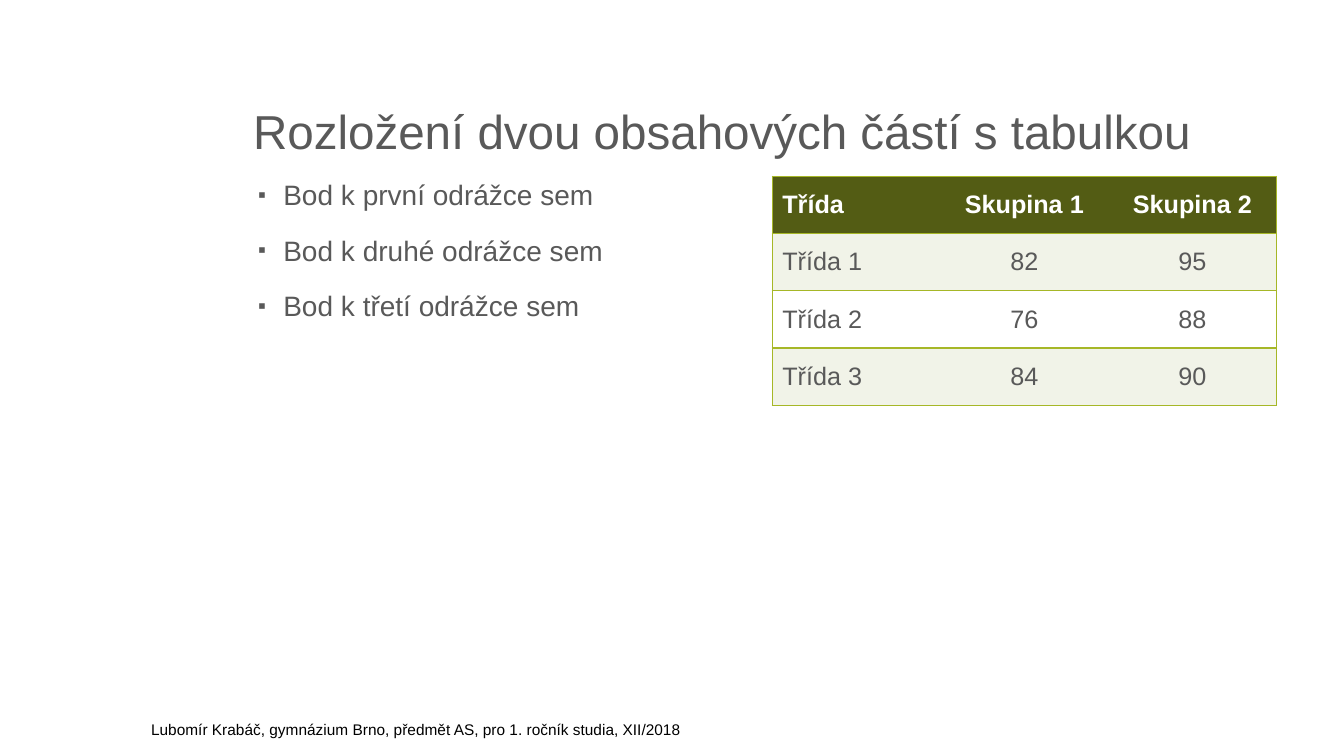
from lxml.etree import SubElement
from pptx import Presentation
from pptx.dml.color import RGBColor
from pptx.enum.text import MSO_ANCHOR as Anchor, MSO_AUTO_SIZE as AutoSize, PP_ALIGN as Align
from pptx.oxml.ns import qn
from pptx.util import Inches, Pt

GREY = RGBColor(0x59, 0x59, 0x59)
BLACK = RGBColor(0, 0, 0)
WHITE = RGBColor(0xFF, 0xFF, 0xFF)
OLIVE = RGBColor(0x53, 0x5C, 0x14)
PALE = RGBColor(0xF1, 0xF3, 0xE8)
LIME = RGBColor(0xA6, 0xB7, 0x27)

HEADING = "Rozložení dvou obsahových částí s tabulkou"
POINTS = ["Bod k první odrážce sem", "Bod k druhé odrážce sem", "Bod k třetí odrážce sem"]
RESULTS = [
    ("Třída", "Skupina 1", "Skupina 2"),
    ("Třída 1", "82", "95"),
    ("Třída 2", "76", "88"),
    ("Třída 3", "84", "90"),
]
CREDIT = "Lubomír Krabáč, gymnázium Brno, předmět AS, pro 1. ročník studia, XII/2018"


def place(part, box):
    part.left, part.top, part.width, part.height = (Inches(side) for side in box)


def add_text(paragraph, text, size, color, bold=False, align=Align.LEFT):
    paragraph.alignment = align
    run = paragraph.add_run()
    run.text = text
    run.font.name = "Arial"
    run.font.size = Pt(size)
    run.font.bold = bold
    run.font.color.rgb = color


def prepare_frame(frame, anchor):
    frame.word_wrap = True
    frame.auto_size = AutoSize.NONE
    frame.vertical_anchor = anchor


def fill_title(title, box):
    place(title, box)
    prepare_frame(title.text_frame, Anchor.BOTTOM)
    line = title.text_frame.paragraphs[0]
    line.line_spacing = 0.9
    add_text(line, HEADING, 34, GREY)


def fill_points(body, box):
    place(body, box)
    frame = body.text_frame
    prepare_frame(frame, Anchor.TOP)
    for index, text in enumerate(POINTS):
        point = frame.add_paragraph() if index else frame.paragraphs[0]
        point.line_spacing = 0.9
        point.space_before = Pt(18)
        add_text(point, text, 20, GREY)
        # Small square bullet with a hanging indent
        props = point._p.get_or_add_pPr()
        props.set("marL", str(Inches(0.3)))
        props.set("indent", str(Inches(-0.25)))
        SubElement(props, qn("a:buSzPct"), val="80000")
        SubElement(props, qn("a:buFont"), typeface="Arial")
        SubElement(props, qn("a:buChar"), char="▪")


def set_borders(cell, sides):
    props = cell._tc.get_or_add_tcPr()
    for side in "LRTB":
        border = SubElement(props, qn(f"a:ln{side}"), w=str(Pt(1)))
        if side in sides:
            solid = SubElement(border, qn("a:solidFill"))
            SubElement(solid, qn("a:srgbClr"), val=str(LIME))
        else:
            SubElement(border, qn("a:noFill"))


def add_results(slide, box):
    last = len(RESULTS[0]) - 1
    table = slide.shapes.add_table(
        len(RESULTS), last + 1, *(Inches(side) for side in box)).table
    for r, values in enumerate(RESULTS):
        header = r == 0
        for c, value in enumerate(values):
            cell = table.cell(r, c)
            cell.vertical_anchor = Anchor.MIDDLE
            # Outer frame and row lines, no inner column lines
            set_borders(cell, "TB" + ("L" if c == 0 else "R" if c == last else ""))
            cell.fill.solid()
            cell.fill.fore_color.rgb = OLIVE if header else PALE if r % 2 else WHITE
            add_text(cell.text_frame.paragraphs[0], value, 18,
                     WHITE if header else GREY, header,
                     Align.CENTER if c else Align.LEFT)


def add_credit(slide, box):
    credit = slide.shapes.add_textbox(*(Inches(side) for side in box))
    prepare_frame(credit.text_frame, Anchor.MIDDLE)
    add_text(credit.text_frame.paragraphs[0], CREDIT, 11, BLACK)


deck = Presentation()
deck.slide_width, deck.slide_height = Inches(13.33), Inches(7.5)
slide = deck.slides.add_slide(deck.slide_layouts[1])
fill_title(slide.shapes.title, (2.41, 0.33, 10.25, 1.31))
fill_points(slide.placeholders[1], (2.41, 1.75, 5, 4.5))
add_results(slide, (7.66, 1.75, 5, 2.27))
add_credit(slide, (1.4, 7.11, 7.52, 0.25))
deck.save("out.pptx")
